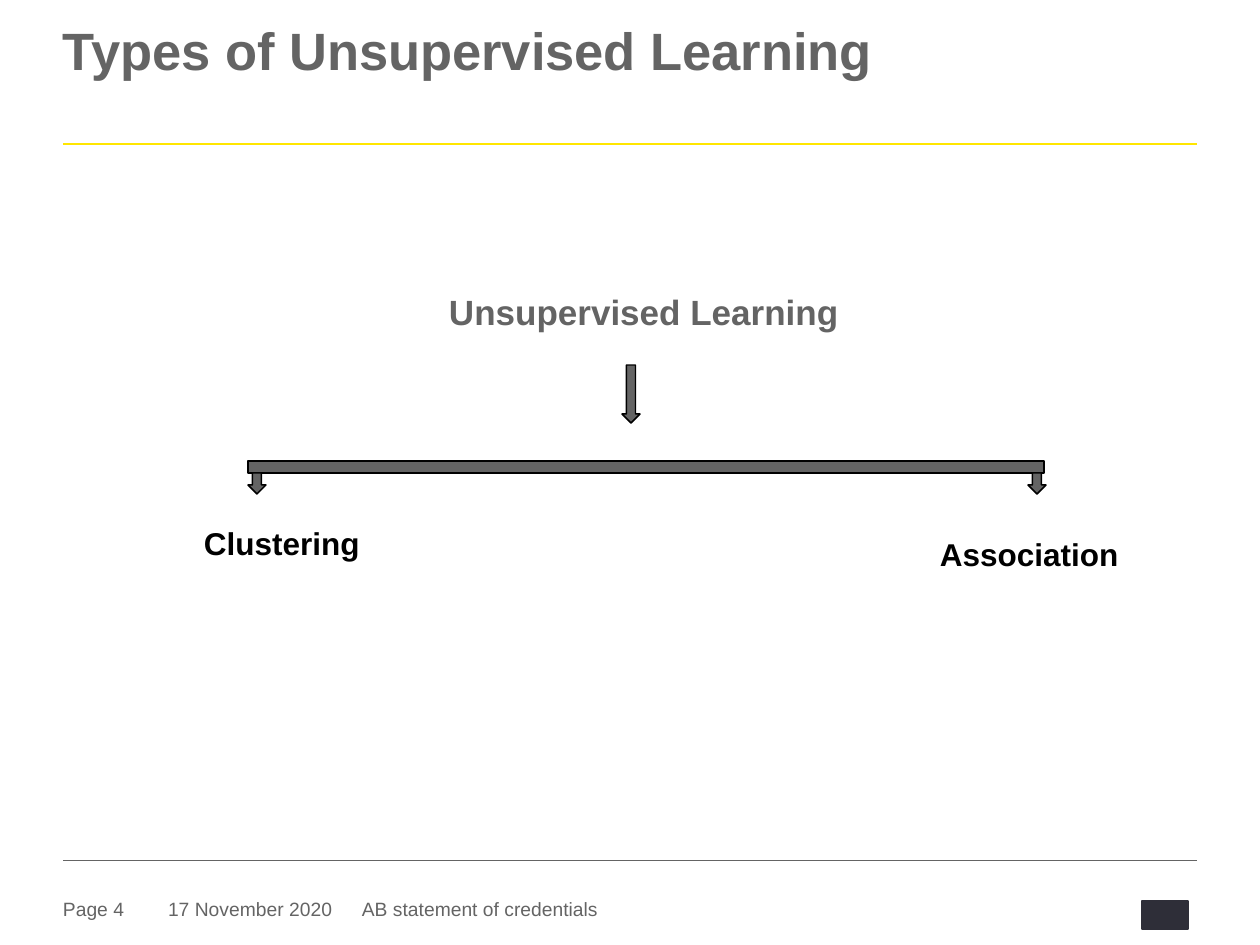
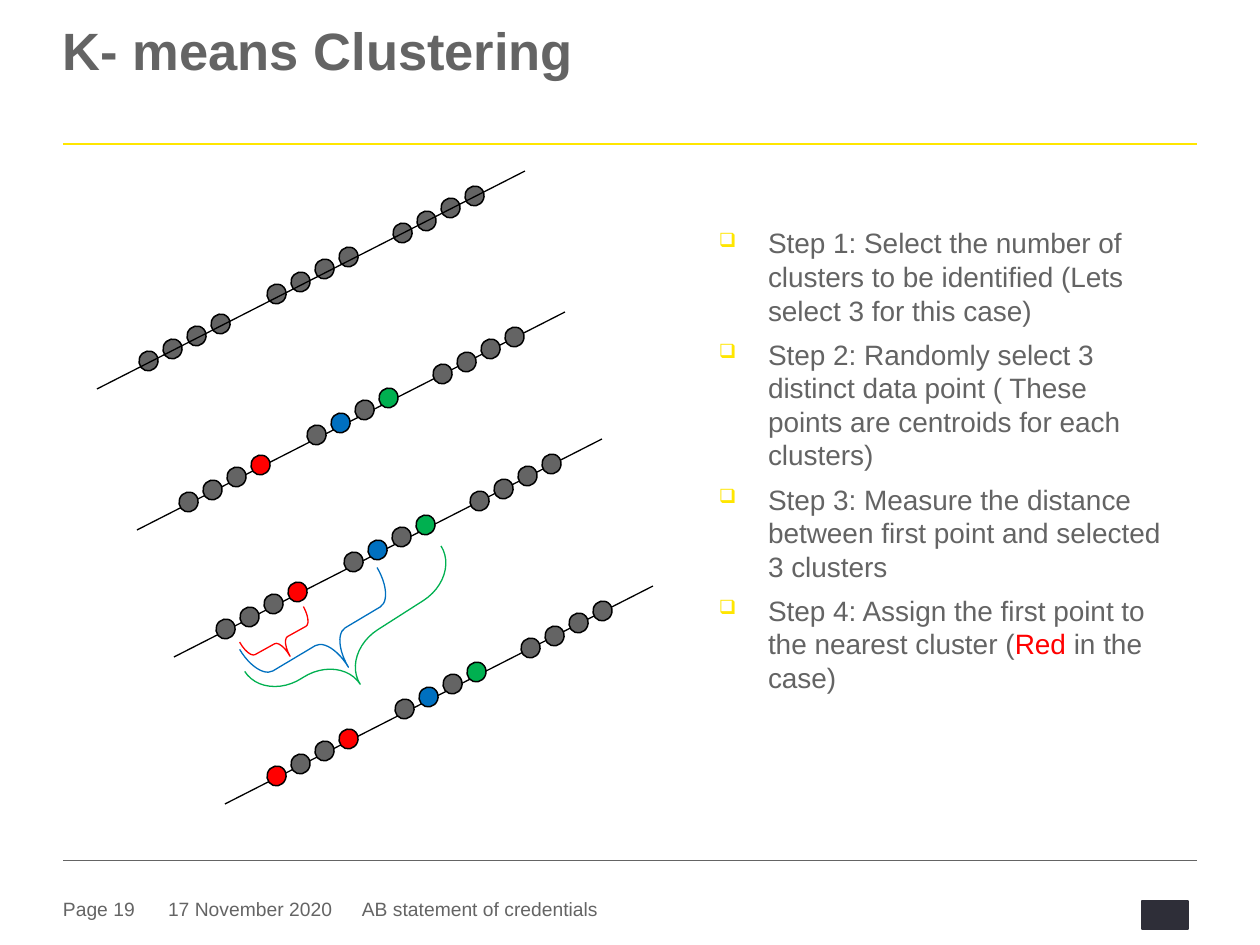
from lxml import etree
from pptx import Presentation
from pptx.dml.color import RGBColor
from pptx.enum.shapes import MSO_CONNECTOR as Connector, MSO_SHAPE as Shape
from pptx.enum.text import MSO_ANCHOR as Anchor
from pptx.oxml.ns import qn
from pptx.util import Emu, Pt

# Shared look
EMU_PER_PX = 914400 / 126
FONT = "Arial"
COLORS = {
    "grey": "646464", "yellow": "FFE600", "dark": "2E2E38", "black": "000000",
    "red": "FF0000", "blue": "0070C0", "green": "00B050",
}
LEFT, RIGHT = 63, 1197

# Number line: offsets from the lower end of each line
LINE_RUN, LINE_RISE = 428, 218
DOT_GROUPS = [(51, 28), (179, 95), (305, 156)]
DOTS_PER_GROUP = 4
DOT_WIDTH, DOT_HEIGHT, DOT_TILT = 19, 20, 19.5

CENTROIDS = {3: "red", 5: "blue", 7: "green"}
STEPS = [
    [("Step 1: Select the number of clusters to be identified "
      "(Lets select 3 for this case)", "grey")],
    [("Step 2: Randomly select 3 distinct data point "
      "( These points are centroids for each clusters)", "grey")],
    [("Step 3: Measure the distance between first point "
      "and selected 3 clusters", "grey")],
    [("Step 4: Assign the first point to the nearest cluster (", "grey"),
     ("Red", "red"), (" in the case)", "grey")],
]


def px(length):
    return Emu(round(length * EMU_PER_PX))


def rgb(color):
    return RGBColor.from_string(COLORS[color])


def style_run(run, size, color, bold=False):
    run.font.name = FONT
    run.font.size = Pt(size)
    run.font.bold = bold
    run.font.color.rgb = rgb(color)


def add_frame(slide, box, top_inset=0):
    frame = slide.shapes.add_textbox(*map(px, box)).text_frame
    frame.word_wrap = True
    frame.margin_left = frame.margin_right = frame.margin_bottom = 0
    frame.margin_top = px(top_inset)
    return frame


def add_label(slide, text, box, size, color="grey", bold=True,
              spacing=0.85, top_inset=5):
    frame = add_frame(slide, box, top_inset)
    frame.text = text
    paragraph = frame.paragraphs[0]
    paragraph.line_spacing = spacing
    style_run(paragraph.runs[0], size, color, bold)
    return frame


def add_line(slide, start, end, color="black", width=0.75):
    line = slide.shapes.add_connector(
        Connector.STRAIGHT, *map(px, (*start, *end)))
    line.line.color.rgb = rgb(color)
    line.line.width = Pt(width)
    properties = line._element.find(qn("p:spPr"))
    etree.SubElement(properties, qn("a:effectLst"))


def add_solid(slide, kind, box, fill="grey", outline="black", tilt=0):
    solid = slide.shapes.add_shape(kind, *map(px, box))
    solid.shadow.inherit = False
    solid.rotation = tilt
    solid.fill.solid()
    solid.fill.fore_color.rgb = rgb(fill)
    solid.line.color.rgb = rgb(outline)
    solid.line.width = Pt(0.85)


def add_brace(slide, box, tilt, bends, color):
    brace = slide.shapes.add_shape(Shape.RIGHT_BRACE, *map(px, box))
    brace.shadow.inherit = False
    brace.rotation = tilt
    brace.fill.background()
    brace.line.color.rgb = rgb(color)
    brace.line.width = Pt(0.75)
    for index, bend in enumerate(bends):
        brace.adjustments[index] = bend


def add_dots(slide, origin, dot_colors):
    x, y = origin
    for group, (across, up) in enumerate(DOT_GROUPS):
        for step in range(DOTS_PER_GROUP):
            left = x + across + 24 * step - DOT_WIDTH // 2
            top = y - up - 25 * step // 2 - DOT_HEIGHT // 2
            color = dot_colors.get(group * DOTS_PER_GROUP + step, "grey")
            add_solid(slide, Shape.FLOWCHART_CONNECTOR,
                      (left, top, DOT_WIDTH, DOT_HEIGHT), color, tilt=DOT_TILT)


def add_number_line(slide, origin):
    x, y = origin
    add_line(slide, origin, (x + LINE_RUN, y - LINE_RISE))


def add_bullet(paragraph):
    properties = paragraph._p.get_or_add_pPr()
    properties.set("marL", str(px(49)))
    properties.set("indent", str(-px(49)))
    bullet_color = etree.SubElement(properties, qn("a:buClr"))
    etree.SubElement(bullet_color, qn("a:srgbClr"), val=COLORS["yellow"])
    etree.SubElement(properties, qn("a:buSzPct"), val="70000")
    etree.SubElement(properties, qn("a:buChar"), char="❑")


def add_steps(slide, box):
    frame = add_frame(slide, box, top_inset=5)
    for index, step in enumerate(STEPS):
        paragraph = frame.add_paragraph() if index else frame.paragraphs[0]
        paragraph.space_after = Pt(6)
        add_bullet(paragraph)
        for text, color in step:
            run = paragraph.add_run()
            run.text = text
            style_run(run, 16, color)


def add_page(deck, title, number):
    """Add a slide with the title, both rules and the footer."""
    slide = deck.slides.add_slide(deck.slide_layouts[6])
    footer = [
        (f"Page {number}", LEFT, 100),
        ("17 November 2020", 168, 180),
        ("AB statement of credentials", 362, 468),
    ]
    for text, left, width in footer:
        frame = add_label(slide, text, (left, 895, width, 28), 11,
                          bold=False, spacing=1, top_inset=0)
        frame.vertical_anchor = Anchor.MIDDLE
    add_solid(slide, Shape.RECTANGLE, (1142, 901, 46, 28), "dark", "dark")
    add_line(slide, (LEFT, 144), (RIGHT, 144), "yellow", 1.5)
    add_line(slide, (LEFT, 860), (RIGHT, 860), "grey", 0.25)
    add_label(slide, title, (LEFT, 28, RIGHT - LEFT, 118), 30, top_inset=0)
    return slide


def build_types(deck):
    slide = add_page(deck, "Types of Unsupervised Learning", 4)

    # Branching bar and arrows
    add_solid(slide, Shape.RECTANGLE, (248, 461, 796, 12))
    for left, top, height in [(248, 473, 21), (1028, 473, 21), (622, 365, 58)]:
        add_solid(slide, Shape.DOWN_ARROW, (left, top, 18, height))

    # Root and its two branches
    add_label(slide, "Unsupervised Learning", (449, 292, 396, 42), 20)
    add_label(slide, "Clustering", (204, 525, 354, 38), 18, "black")
    add_label(slide, "Association", (940, 536, 188, 38), 18, "black")


def build_k_means(deck):
    slide = add_page(deck, "K- means Clustering", 19)

    # Unassigned points, with the line running over them
    unassigned = (97, 389)
    add_dots(slide, unassigned, {})
    add_number_line(slide, unassigned)

    # Centroids chosen, distances measured, first point assigned
    stages = [
        ((137, 530), CENTROIDS),
        ((174, 657), CENTROIDS),
        ((225, 804), {0: "red", **CENTROIDS}),
    ]
    for origin, dot_colors in stages:
        add_number_line(slide, origin)
        add_dots(slide, origin, dot_colors)

    # Distances from the first point to each centroid
    add_brace(slide, (291, 559, 71, 160), 59.2, (0.247, 0.473), "blue")
    add_brace(slide, (326, 523, 73, 233), 57.4, (0.606, 0.612), "green")
    add_brace(slide, (262, 604, 37, 73), 60.9, (0.2, 0.491), "red")

    add_steps(slide, (719, 221, 449, 478))


def main():
    deck = Presentation()
    deck.slide_width, deck.slide_height = px(1260), px(945)
    build_types(deck)
    build_k_means(deck)
    deck.save("out.pptx")


if __name__ == "__main__":
    main()
